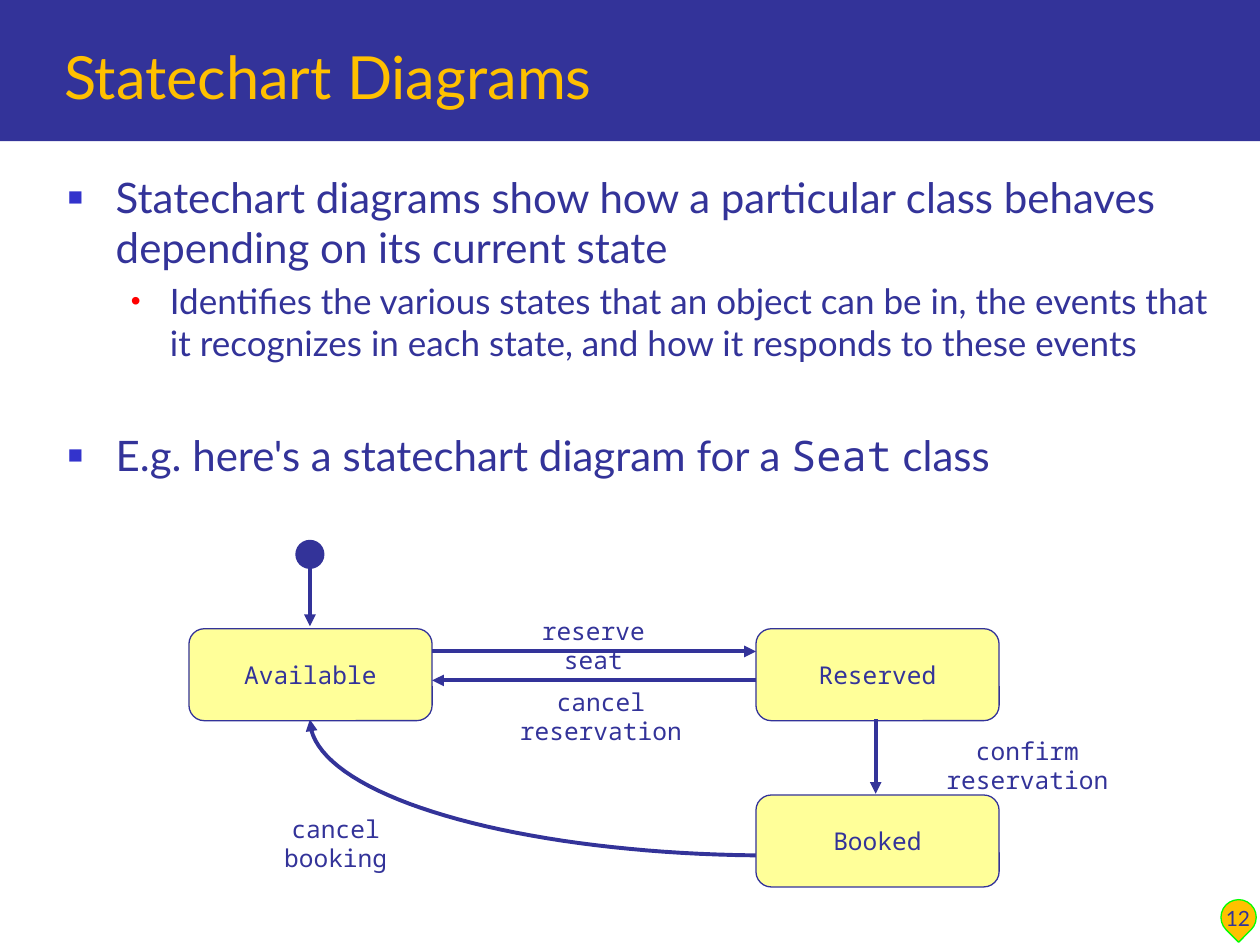
from math import cos, pi, sin

from lxml import etree
from pptx import Presentation
from pptx.dml.color import RGBColor
from pptx.enum.shapes import MSO_CONNECTOR, MSO_SHAPE
from pptx.enum.text import MSO_ANCHOR, PP_ALIGN
from pptx.oxml.ns import qn
from pptx.util import Inches, Pt

NAVY = RGBColor(0x33, 0x33, 0x99)
GOLD = RGBColor(0xFF, 0xC0, 0x00)
LIME = RGBColor(0x00, 0xFF, 0x00)
CREAM = RGBColor(0xFF, 0xFF, 0x99)
BLUE = RGBColor(0x33, 0x33, 0xCC)
RED = RGBColor(0xFF, 0x00, 0x00)
SANS, MONO = "Lato", "Noto Sans Mono"
RECT, ROUND = MSO_SHAPE.RECTANGLE, MSO_SHAPE.ROUNDED_RECTANGLE
OVAL, TEAR = MSO_SHAPE.OVAL, MSO_SHAPE.TEAR
STRAIGHT = MSO_CONNECTOR.STRAIGHT
LEFT, CENTER = PP_ALIGN.LEFT, PP_ALIGN.CENTER
TOP, MIDDLE, BOTTOM = MSO_ANCHOR.TOP, MSO_ANCHOR.MIDDLE, MSO_ANCHOR.BOTTOM
BOX_W, BOX_H = 1.93, 0.73


def style(par, size, face, color=NAVY, align=LEFT):
    """Set the font and alignment of a paragraph."""
    par.alignment = align
    par.font.size = Pt(size)
    par.font.name = face
    par.font.color.rgb = color


def add_text(slide, box, text, size, face, color=NAVY, align=LEFT, anchor=TOP, inset=0.1):
    """Add a wrapping one-paragraph text box and return its frame."""
    frame = slide.shapes.add_textbox(*map(Inches, box)).text_frame
    frame.word_wrap = True
    frame.vertical_anchor = anchor
    frame.margin_left = frame.margin_right = Inches(inset)
    frame.text = text
    style(frame.paragraphs[0], size, face, color, align)
    return frame


def add_solid(slide, kind, box, fill, line=None, width=0.75):
    """Add a flat filled shape, outlined if a line colour is given."""
    shape = slide.shapes.add_shape(kind, *map(Inches, box))
    shape.shadow.inherit = False
    shape.fill.solid()
    shape.fill.fore_color.rgb = fill
    if line is None:
        shape.line.fill.background()
    else:
        shape.line.color.rgb = line
        shape.line.width = Pt(width)
    return shape


def add_bullet(par, char, color, scale, left, hang):
    """Give a paragraph a coloured bullet and a hanging indent."""
    props = par._p.get_or_add_pPr()
    props.set("marL", str(Inches(left)))
    props.set("indent", str(-Inches(hang)))
    tint = etree.SubElement(props, qn("a:buClr"))
    etree.SubElement(tint, qn("a:srgbClr"), val=str(color))
    etree.SubElement(props, qn("a:buSzPct"), val=str(scale * 1000))
    etree.SubElement(props, qn("a:buFont"), typeface="Arial")
    etree.SubElement(props, qn("a:buChar"), char=char)


def add_head(line):
    """Draw a line in navy with an arrowhead at its end."""
    line.line.color.rgb = NAVY
    line.line.width = Pt(2.25)
    etree.SubElement(line.line._get_or_add_ln(), qn("a:tailEnd"), type="triangle")


def add_arrow(slide, x1, y1, x2, y2):
    """Add a straight arrow."""
    line = slide.shapes.add_connector(STRAIGHT, *map(Inches, (x1, y1, x2, y2)))
    add_head(line)
    etree.SubElement(line._element.spPr, qn("a:effectLst"))


def add_curve(slide, x, y, wide, high):
    """Add a quarter-ellipse arrow from lower right to upper left."""
    steps = 40
    turns = [pi / 2 * i / steps for i in range(steps + 1)]
    spots = [(Inches(x + wide * (1 - sin(t))), Inches(y + high * cos(t))) for t in turns]
    path = slide.shapes.build_freeform(*spots[0])
    path.add_line_segments(spots[1:], close=False)
    curve = path.convert_to_shape()
    curve.shadow.inherit = False
    curve.fill.background()
    add_head(curve)


def add_state(slide, x, y, name):
    """Add a state box with its name."""
    shape = add_solid(slide, ROUND, (x, y, BOX_W, BOX_H), CREAM, NAVY)
    frame = shape.text_frame
    frame.word_wrap = False
    frame.vertical_anchor = MIDDLE
    frame.text = name
    style(frame.paragraphs[0], 14, MONO, align=CENTER)


def add_frame(slide):
    """Add the title band and the page number badge."""
    add_solid(slide, RECT, (0, 0, 10, 1.12), NAVY)
    add_text(slide, (0.41, 0.17, 9.35, 0.76), "Statechart Diagrams", 34, SANS, GOLD, anchor=BOTTOM)
    badge = add_solid(slide, TEAR, (9.69, 7.14, 0.28, 0.28), GOLD, LIME)
    badge.rotation = 134.9
    add_text(slide, (9.54, 6.94, 0.57, 0.5), "12", 12, SANS, align=CENTER, anchor=BOTTOM)


def add_body(slide, box):
    """Add the bulleted text."""
    frame = add_text(
        slide, box,
        "Statechart diagrams show how a particular class behaves depending on its current state",
        24, SANS)
    first = frame.paragraphs[0]
    second, third = frame.add_paragraph(), frame.add_paragraph()
    second.text = ("Identifies the various states that an object can be in, the events "
                   "that it recognizes in each state, and how it responds to these events")
    second.level = 1
    second.space_before = Pt(4.5)
    style(second, 20, SANS)
    third.space_before = Pt(37.5)
    style(third, 24, SANS)
    for text, face in (("E.g. here's a statechart diagram for a ", SANS),
                       ("Seat", MONO), (" class", SANS)):
        run = third.add_run()
        run.text = text
        run.font.name = face
    for par in (first, third):
        add_bullet(par, "\u25a0", BLUE, 60, 0.38, 0.38)
    add_bullet(second, "\u2022", RED, 80, 0.81, 0.31)


def add_chart(slide, x, y):
    """Add the statechart, with the first state at x, y."""
    far, low = x + 4.5, y + 1.32
    mid, edge = x + 0.96, x + BOX_W
    add_curve(slide, mid, y + 0.72, 3.67, 1.08)
    for left, top, name in ((x, y, "Available"), (far, y, "Reserved"), (far, low, "Booked")):
        add_state(slide, left, top, name)
    for ends in ((mid, y - 0.55, mid, y - 0.02),
                 (edge, y + 0.18, far, y + 0.18),
                 (far, y + 0.41, edge, y + 0.41),
                 (far + 0.95, y + 0.72, far + 0.95, low - 0.01)):
        add_arrow(slide, *ends)
    for left, top, wide, text in ((2.41, -0.15, 1.6, "reserve seat"),
                                  (2.12, 0.41, 2.3, "cancel reservation"),
                                  (5.45, 0.8, 2.41, "confirm reservation"),
                                  (0.25, 1.42, 1.83, "cancel booking")):
        add_text(slide, (x + left, y + top, wide, 0.33), text, 14, MONO, align=CENTER, inset=0.14)
    add_solid(slide, OVAL, (mid - 0.1, y - 0.69, 0.2, 0.2), NAVY, NAVY, 2.25)


def main():
    """Build and save the slide."""
    deck = Presentation()
    deck.slide_width, deck.slide_height = Inches(10), Inches(7.5)
    slide = deck.slides.add_slide(deck.slide_layouts[6])
    add_frame(slide)
    add_body(slide, (0.44, 1.31, 9.28, 5.4))
    add_chart(slide, 1.5, 4.99)
    deck.save("out.pptx")


main()
